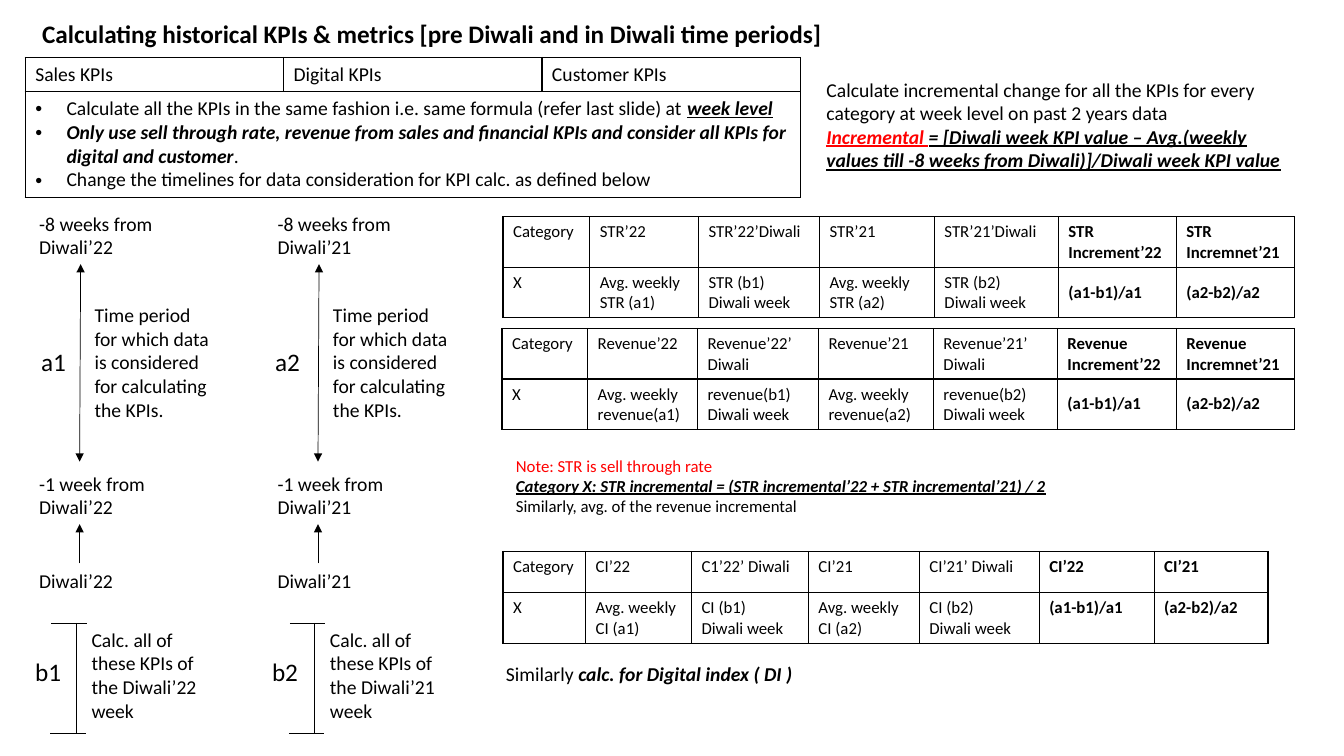
"""Build the slide on historical KPI calculation around Diwali."""
from lxml.etree import SubElement
from pptx import Presentation
from pptx.dml.color import RGBColor
from pptx.enum.shapes import MSO_CONNECTOR
from pptx.enum.text import MSO_ANCHOR
from pptx.oxml import parse_xml
from pptx.oxml.ns import nsdecls, qn
from pptx.util import Inches, Pt

BLACK = RGBColor(0x00, 0x00, 0x00)
RED = RGBColor(0xFF, 0x00, 0x00)
GRID = Inches(0.1)
COLUMNS, ROWS = 133.33, 75


def write_text(frame, paragraphs, size, bulleted=False):
    """Fill a frame; a paragraph is a string or (text, style) runs, styles being letters of b, i, u, r."""
    frame.word_wrap = True
    for number, runs in enumerate(paragraphs):
        paragraph = frame.add_paragraph() if number else frame.paragraphs[0]
        runs = [(runs, "")] if isinstance(runs, str) else runs
        paragraph.font.name, paragraph.font.size = "Calibri", Pt(size)
        for text, style in runs:
            run = paragraph.add_run()
            run.text = text
            font = paragraph.font if len(runs) == 1 else run.font
            font.bold, font.italic, font.underline = "b" in style, "i" in style, "u" in style
            font.color.rgb = RED if "r" in style else BLACK
        if bulleted:
            properties = paragraph._p.get_or_add_pPr()
            properties.set("marL", str(Inches(0.31)))
            properties.set("indent", str(-Inches(0.31)))
            properties.insert(0, parse_xml(f'<a:buFont {nsdecls("a")} typeface="Arial"/>'))
            properties.insert(1, parse_xml(f'<a:buChar {nsdecls("a")} char="•"/>'))


def add_grid_table(left, top, widths, heights):
    """Add an unfilled table with thin black borders."""
    table = slide.shapes.add_table(
        len(heights), len(widths), int(left * GRID), int(top * GRID),
        int(sum(widths) * GRID), int(sum(heights) * GRID)).table
    table.first_row = table.horz_banding = False
    for column, width in zip(table.columns, widths):
        column.width = int(width * GRID)
    for row, height in zip(table.rows, heights):
        row.height = int(height * GRID)
    for cell in table.iter_cells():
        cell.fill.background()
        for position, side in enumerate("LRTB"):
            cell._tc.get_or_add_tcPr().insert(position, parse_xml(
                f'<a:ln{side} {nsdecls("a")} w="{Pt(1)}"><a:solidFill>'
                f'<a:srgbClr val="{BLACK}"/></a:solidFill></a:ln{side}>'))
    return table


presentation = Presentation()
presentation.slide_width = int(COLUMNS * GRID)
presentation.slide_height = int(ROWS * GRID)
slide = presentation.slides.add_slide(presentation.slide_layouts[6])

kpi_table = add_grid_table(2.5, 5.7, [25.63] * 3, [3.4, 10.5])
for column, heading in enumerate(["Sales KPIs", "Digital KPIs", "Customer KPIs"]):
    write_text(kpi_table.cell(0, column).text_frame, [heading], 14)
kpi_table.cell(1, 0).merge(kpi_table.cell(1, 2))
write_text(kpi_table.cell(1, 0).text_frame, [
    [("Calculate all the KPIs in the same fashion i.e. same formula (refer last slide) at ", ""),
     ("week level", "biu")],
    [("Only use sell through rate, revenue from sales and financial KPIs and consider all KPIs "
      "for digital and customer", "bi"), (".", "")],
    "Change the timelines for data consideration for KPI calc. as defined below",
], 14, bulleted=True)

texts = [
    (3.2, 1.3, 90.6, 4, 18, [[(
        "Calculating historical KPIs & metrics [pre Diwali and in Diwali time periods]", "b")]]),
    (81, 7.2, 47.5, 10.4, 14, [
        "Calculate incremental change for all the KPIs for every category at week level "
        "on past 2 years data",
        [("Incremental ", "biur"),
         ("= [Diwali week KPI value – Avg.(weekly values till -8 weeks from Diwali)]"
          "/Diwali week KPI value", "biu")]]),
    (49.2, 65.2, 77.2, 3.4, 14, [
        [("Similarly ", ""), ("calc. for Digital index ( DI )", "bi")]]),
    (50.2, 44.7, 70.7, 7.1, 12, [
        [("Note: STR is sell through rate", "r")],
        [("Category X: STR incremental = (STR incremental’22 + STR incremental’21) / 2", "biu")],
        "Similarly, avg. of the revenue incremental"]),
]
lines = []
for number, (year, left, a_left, b_left) in enumerate(
        [("22", 2.9, 3.1, 2.5), ("21", 26.55, 26.3, 26)], start=1):
    texts += [
        (left, 20.5, 15.5, 5.7, 14, [f"-8 weeks from Diwali’{year}"]),
        (left + 5.5, 29.6, 13.4, 12.8, 14, [
            "Time period for which data is considered for calculating the KPIs."]),
        (left, 46.3, 14.4, 5.7, 14, [f"-1 week from Diwali’{year}"]),
        (left, 55.9, 14.4, 3.4, 14, [f"Diwali’{year}"]),
        (left + 5.2, 61.8, 13.4, 10.4, 14, [f"Calc. all of these KPIs of the Diwali’{year} week"]),
        (a_left, 33.9, 5.1, 4, 18, [f"a{number}"]),
        (b_left, 64.6, 5.1, 4, 18, [f"b{number}"]),
    ]
    lines += [
        (left + 5.1, 26.2, left + 5, 45.8, ["headEnd", "tailEnd"]),
        (left + 5, 55.9, left + 5, 52, ["tailEnd"]),
        (left + 4.65, 61.8, left + 4.65, 72.8, []),
        (left + 2.2, 61.8, left + 5.7, 61.8, []),
        (left + 2.1, 72.8, left + 5.6, 72.8, []),
    ]

for left, top, width, height, size, paragraphs in texts:
    box = slide.shapes.add_textbox(*(int(value * GRID) for value in (left, top, width, height)))
    write_text(box.text_frame, paragraphs, size)

for *ends, arrowheads in lines:
    line = slide.shapes.add_connector(
        MSO_CONNECTOR.STRAIGHT, *(int(value * GRID) for value in ends))
    line.line.color.rgb = BLACK
    line.line.width = Pt(0.5)
    for arrowhead in arrowheads:
        SubElement(line.line._get_or_add_ln(), qn(f"a:{arrowhead}")).set("type", "triangle")
    SubElement(line._element.spPr, qn("a:effectLst"))

metric_tables = [
    (49.9, 21.5, [8.6, 10.8, 12, 11.4, 12.3, 11.7, 11.7], 5, "STR ", MSO_ANCHOR.MIDDLE,
     ["STR’22", "STR’22’Diwali", "STR’21", "STR’21’Diwali", "STR Increment’22", "STR Incremnet’21"]),
    (49.8, 32.6, [8.5, 10.9, 12, 11.4, 12.3, 11.8, 11.7], 5, "revenue", MSO_ANCHOR.MIDDLE,
     ["Revenue’22", "Revenue’22’ Diwali", "Revenue’21", "Revenue’21’ Diwali",
      "Revenue Increment’22", "Revenue Incremnet’21"]),
    (49.9, 54.7, [8.2, 10.5, 11.6, 11, 11.9, 11.4, 11.3], 4.1, "CI ", MSO_ANCHOR.TOP,
     ["CI’22", "C1’22’ Diwali", "CI’21", "CI’21’ Diwali", "CI’22", "CI’21"]),
]
for left, top, widths, header_height, metric, anchor, headings in metric_tables:
    table = add_grid_table(left, top, widths, [header_height, 5])
    values = [["X"]]
    for number in (1, 2):
        values += [[f"Avg. weekly {metric}(a{number})"], [f"{metric}(b{number})", "Diwali week"]]
    values += [[f"(a{number}-b{number})/a{number}"] for number in (1, 2)]
    for column, (heading, value) in enumerate(zip(["Category"] + headings, values)):
        style = "b" if column > 4 else ""
        write_text(table.cell(0, column).text_frame, [[(heading, style)]], 12)
        write_text(table.cell(1, column).text_frame, [[(text, style)] for text in value], 12)
        if column > 4:
            table.cell(1, column).vertical_anchor = anchor

presentation.save("out.pptx")
